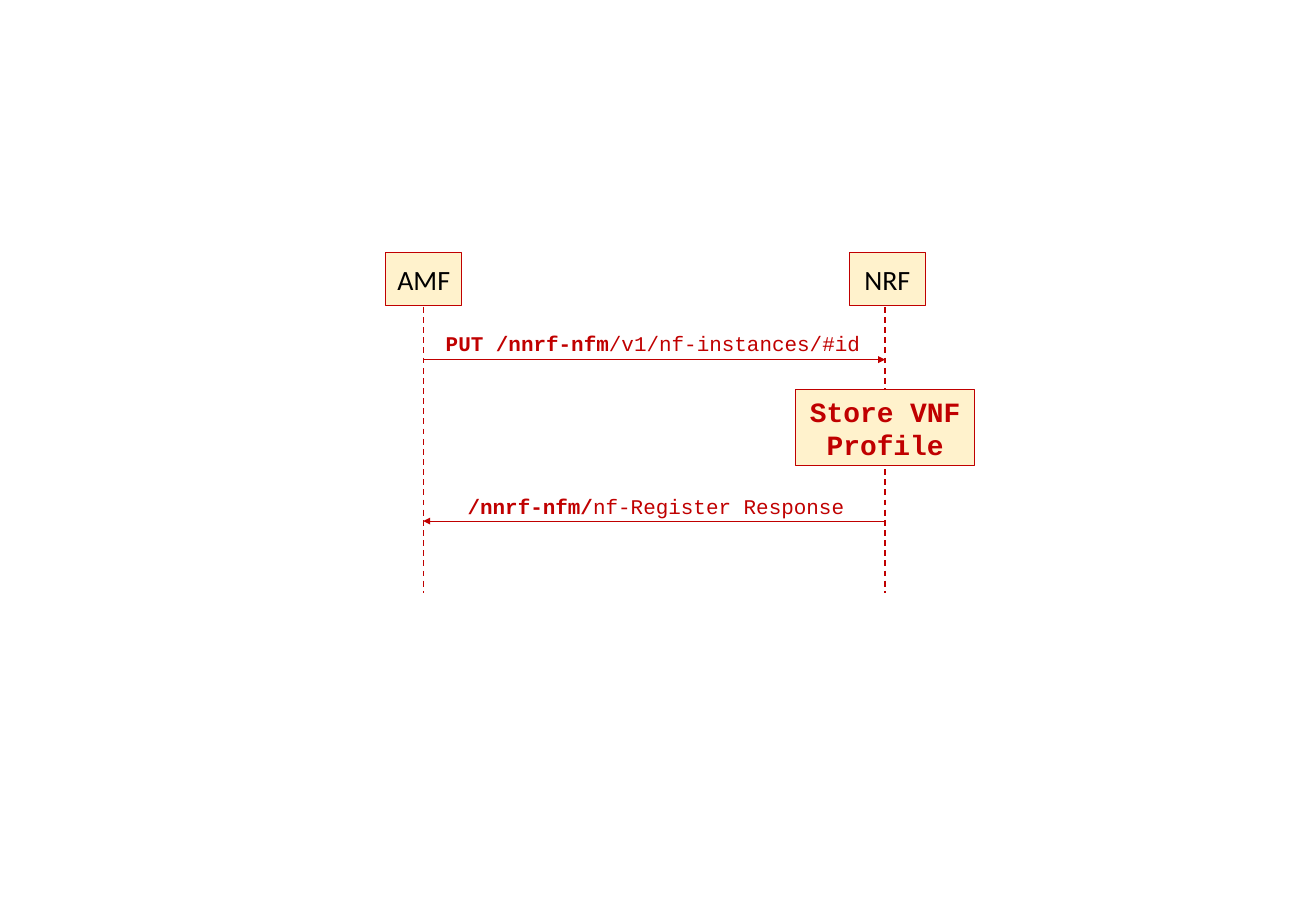
from lxml.etree import SubElement
from pptx import Presentation
from pptx.dml.color import RGBColor
from pptx.enum.dml import MSO_LINE_DASH_STYLE as DASH
from pptx.enum.shapes import MSO_CONNECTOR, MSO_SHAPE
from pptx.enum.text import MSO_ANCHOR, PP_ALIGN
from pptx.oxml.ns import qn
from pptx.util import Inches, Pt

RED = RGBColor(0xC0, 0x00, 0x00)
CREAM = RGBColor(0xFF, 0xF2, 0xCC)
BLACK = RGBColor(0x00, 0x00, 0x00)

PARTICIPANTS = [
    {"name": "AMF", "left": 4.61, "lifeline": 5.06},
    {"name": "NRF", "left": 10.15, "lifeline": 10.58},
]
HEADER_TOP, HEADER_WIDTH, HEADER_HEIGHT = 3.02, 0.91, 0.63
LIFELINE_TOP, LIFELINE_BOTTOM = 3.67, 7.09
ACTION = {"lines": ["Store VNF", "Profile"], "box": (9.51, 4.66, 2.14, 0.91)}
MESSAGES = [
    {"bold": "PUT /nnrf-nfm", "plain": "/v1/nf-instances/#id", "y": 4.3,
     "sender": 0, "receiver": 1, "label": (5.23, 3.9, 6.17, 0.4)},
    {"bold": "/nnrf-nfm/", "plain": "nf-Register Response", "y": 6.23,
     "sender": 1, "receiver": 0, "label": (5.49, 5.85, 5.48, 0.4)},
]


def add_text(paragraph, text, font="Courier New", size=18, color=RED, bold=False):
    run = paragraph.add_run()
    run.text = text
    run.font.name = font
    run.font.size = Pt(size)
    run.font.color.rgb = color
    run.font.bold = bold


def add_box(slide, lines, box, **text_format):
    shape = slide.shapes.add_shape(MSO_SHAPE.RECTANGLE, *map(Inches, box))
    shape.shadow.inherit = False
    shape.fill.solid()
    shape.fill.fore_color.rgb = CREAM
    shape.line.color.rgb = RED
    shape.line.width = Pt(1)
    frame = shape.text_frame
    frame.word_wrap = False
    frame.vertical_anchor = MSO_ANCHOR.MIDDLE
    for index, line in enumerate(lines):
        paragraph = frame.add_paragraph() if index else frame.paragraphs[0]
        paragraph.alignment = PP_ALIGN.CENTER
        add_text(paragraph, line, size=24, **text_format)


def add_line(slide, start, end, width, dash=None, arrow=False):
    connector = slide.shapes.add_connector(
        MSO_CONNECTOR.STRAIGHT, *map(Inches, start + end))
    connector.line.color.rgb = RED
    connector.line.width = Pt(width)
    if dash:
        connector.line.dash_style = dash
    if arrow:
        SubElement(connector.line._get_or_add_ln(), qn("a:tailEnd"), type="triangle")
    SubElement(connector._element.spPr, qn("a:effectLst"))


def add_message(slide, message):
    start, end = (PARTICIPANTS[message[role]]["lifeline"]
                  for role in ("sender", "receiver"))
    add_line(slide, (start, message["y"]), (end, message["y"]), 0.75, arrow=True)
    label = slide.shapes.add_textbox(*map(Inches, message["label"]))
    label.text_frame.word_wrap = True
    paragraph = label.text_frame.paragraphs[0]
    add_text(paragraph, message["bold"], bold=True)
    add_text(paragraph, message["plain"])


def main():
    presentation = Presentation()
    presentation.slide_width = Inches(15.73)
    presentation.slide_height = Inches(11)
    slide = presentation.slides.add_slide(presentation.slide_layouts[6])

    for participant in PARTICIPANTS:
        x = participant["lifeline"]
        add_line(slide, (x, LIFELINE_TOP), (x, LIFELINE_BOTTOM), 1.25, dash=DASH.DASH)
        box = (participant["left"], HEADER_TOP, HEADER_WIDTH, HEADER_HEIGHT)
        add_box(slide, [participant["name"]], box, font="Calibri", color=BLACK)
    add_box(slide, ACTION["lines"], ACTION["box"], bold=True)
    for message in MESSAGES:
        add_message(slide, message)

    presentation.save("out.pptx")


if __name__ == "__main__":
    main()
